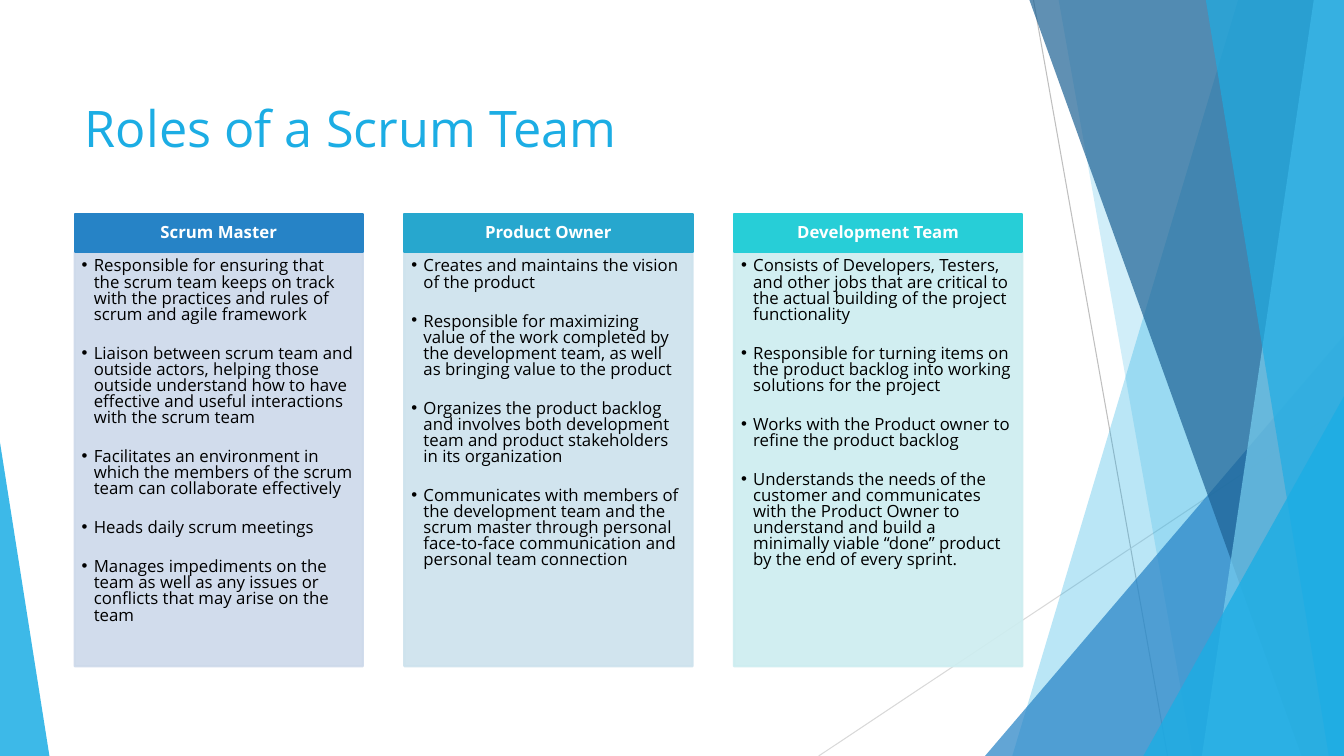
from dataclasses import dataclass

from pptx import Presentation
from pptx.dml.color import RGBColor
from pptx.enum.shapes import MSO_CONNECTOR, MSO_SHAPE
from pptx.enum.text import MSO_ANCHOR, MSO_AUTO_SIZE, PP_ALIGN
from pptx.oxml.ns import qn
from pptx.util import Inches, Pt
from lxml.etree import SubElement


@dataclass(frozen=True)
class Theme:
    font: str = "Open Sans"
    title_size: int = 36
    text_size: int = 12
    sky: str = "1CADE4"
    blue: str = "2683C6"
    navy: str = "1D6294"
    pale: str = "77CEEF"
    white: str = "FFFFFF"
    black: str = "000000"
    grey: str = "BFBFBF"
    light_grey: str = "D9D9D9"


theme = Theme()


def paint(shape, colour, opacity=100, outline=0):
    """Fill and outline a shape in one colour, with opacity in percent."""
    shape.shadow.inherit = False
    shape.fill.solid()
    shape.fill.fore_color.rgb = RGBColor.from_string(colour)
    if outline:
        shape.line.color.rgb = RGBColor.from_string(colour)
        shape.line.width = Pt(outline)
    else:
        shape.line.fill.background()
    if opacity < 100:
        for tint in shape.element.spPr.iter(qn("a:srgbClr")):
            SubElement(tint, qn("a:alpha"), val=str(opacity * 1000))


def style(paragraph, size, colour, bold=False):
    for run in paragraph.runs:
        run.font.name = theme.font
        run.font.size = Pt(size)
        run.font.bold = bold
        run.font.color.rgb = RGBColor.from_string(colour)


WIDTH, HEIGHT = 13.33, 7.5
prs = Presentation()
prs.slide_width, prs.slide_height = Inches(WIDTH), Inches(HEIGHT)
slide = prs.slides.add_slide(prs.slide_layouts.get_by_name("Comparison"))
shapes = slide.shapes
title, *role_lists, spare = slide.placeholders
spare.element.getparent().remove(spare.element)

# Thin lines behind the facets
for x1, y1, x2, y2, colour in [
    (10.25, 0, 11.58, HEIGHT, theme.grey),
    (WIDTH, 4.03, 8.12, HEIGHT, theme.light_grey),
]:
    ray = shapes.add_connector(
        MSO_CONNECTOR.STRAIGHT, Inches(x1), Inches(y1), Inches(x2), Inches(y2))
    ray.line.color.rgb = RGBColor.from_string(colour)
    ray.line.width = Pt(0.75)
    SubElement(ray.element.spPr, qn("a:effectLst"))

# Facets from back to front: a band runs from its top x and bottom x to the
# right edge, a corner has left, top, width and the side of its peak
for kind, geometry, colour, opacity in [
    ("band", (12.28, 10.04), theme.sky, 30),
    ("band", (10.5, 11.83), theme.sky, 20),
    ("corner", (9.77, 3.33, 3.56, 1), theme.blue, 72),
    ("band", (10.21, 12.91), theme.navy, 70),
    ("band", (13.03, 11.92), theme.pale, 70),
    ("band", (11.96, 13.18), theme.sky, 65),
    ("corner", (11.34, 3.93, 1.99, 1), theme.sky, 80),
    ("corner", (0, 4.39, 0.49, 0), theme.sky, 85),
]:
    if kind == "band":
        top_x, bottom_x = geometry
        outline = shapes.build_freeform(Inches(top_x), 0)
        outline.add_line_segments([
            (Inches(WIDTH), 0),
            (Inches(WIDTH), Inches(HEIGHT)),
            (Inches(bottom_x), Inches(HEIGHT)),
        ])
        facet = outline.convert_to_shape()
    else:
        left, top, width, peak = geometry
        facet = shapes.add_shape(
            MSO_SHAPE.ISOSCELES_TRIANGLE,
            Inches(left), Inches(top), Inches(width), Inches(HEIGHT - top))
        facet.adjustments[0] = peak
    paint(facet, colour, opacity)

# Bring the placeholders in front of the facets
for holder in (title, *role_lists):
    holder.element.getparent().append(holder.element)

# Title
title.left, title.top = Inches(0.74), Inches(0.41)
title.width, title.height = Inches(9.4), Inches(1.7)
title.text_frame.text = "Roles of a Scrum Team"
title.text_frame.vertical_anchor = MSO_ANCHOR.MIDDLE
title.text_frame.paragraphs[0].alignment = PP_ALIGN.LEFT
style(title.text_frame.paragraphs[0], theme.title_size, theme.sky)

# Role columns: name, header colour, panel colour, duties
roles = [
    ("Scrum Master", theme.blue, "CDD9EA", [
        "Responsible for ensuring that the scrum team keeps on track with the practices and rules of scrum and agile framework",
        "Liaison between scrum team and outside actors, helping those outside understand how to have effective and useful interactions with the scrum team",
        "Facilitates an environment in which the members of the scrum team can collaborate effectively",
        "Heads daily scrum meetings",
        "Manages impediments on the team as well as any issues or conflicts that may arise on the team",
    ]),
    ("Product Owner", "27A7CE", "CDE2ED", [
        "Creates and maintains the vision of the product",
        "Responsible for maximizing value of the work completed by the development team, as well as bringing value to the product",
        "Organizes the product backlog and involves both development team and product stakeholders in its organization",
        "Communicates with members of the development team and the scrum master through personal face-to-face communication and personal team connection",
    ]),
    ("Development Team", "27CED7", "CDEDF0", [
        "Consists of Developers, Testers, and other jobs that are critical to the actual building of the project functionality",
        "Responsible for turning items on the product backlog into working solutions for the project",
        "Works with the Product owner to refine the product backlog",
        "Understands the needs of the customer and communicates with the Product Owner to understand and build a minimally viable “done” product by the end of every sprint.",
    ]),
]

COLUMN_LEFT, COLUMN_STEP, COLUMN_WIDTH = 0.74, 3.27, 2.86
HEADER_TOP, HEADER_HEIGHT, LIST_HEIGHT = 2.12, 0.38, 4.11

for i, (duty_list, (name, header_colour, panel_colour, duties)) in enumerate(
        zip(role_lists, roles)):
    left = Inches(COLUMN_LEFT + i * COLUMN_STEP)

    # Header bar
    header = shapes.add_shape(
        MSO_SHAPE.RECTANGLE, left, Inches(HEADER_TOP),
        Inches(COLUMN_WIDTH), Inches(HEADER_HEIGHT))
    paint(header, header_colour, outline=1.5)
    header.text_frame.text = name
    header.text_frame.vertical_anchor = MSO_ANCHOR.MIDDLE
    header.text_frame.paragraphs[0].alignment = PP_ALIGN.CENTER
    header.text_frame.paragraphs[0].line_spacing = 0.9
    style(header.text_frame.paragraphs[0], theme.text_size, theme.white, bold=True)

    # Duties
    duty_list.left, duty_list.top = left, Inches(HEADER_TOP + HEADER_HEIGHT)
    duty_list.width, duty_list.height = Inches(COLUMN_WIDTH), Inches(LIST_HEIGHT)
    paint(duty_list, panel_colour, opacity=90, outline=1.5)
    frame = duty_list.text_frame
    frame.text = "\n".join(duties)
    frame.word_wrap = True
    frame.auto_size = MSO_AUTO_SIZE.NONE
    frame.vertical_anchor = MSO_ANCHOR.TOP
    frame.margin_left = frame.margin_top = Inches(0.07)
    frame.margin_right, frame.margin_bottom = Inches(0.09), Inches(0.1)
    for duty in frame.paragraphs:
        duty.alignment = PP_ALIGN.LEFT
        duty.line_spacing = 0.8
        duty.space_before, duty.space_after = Pt(0), Pt(16.3)
        style(duty, theme.text_size, theme.black)
        properties = duty._p.get_or_add_pPr()
        properties.set("marL", str(Inches(0.12)))
        properties.set("indent", str(Inches(-0.12)))
        SubElement(properties, qn("a:buChar"), char="•")

prs.save("out.pptx")
